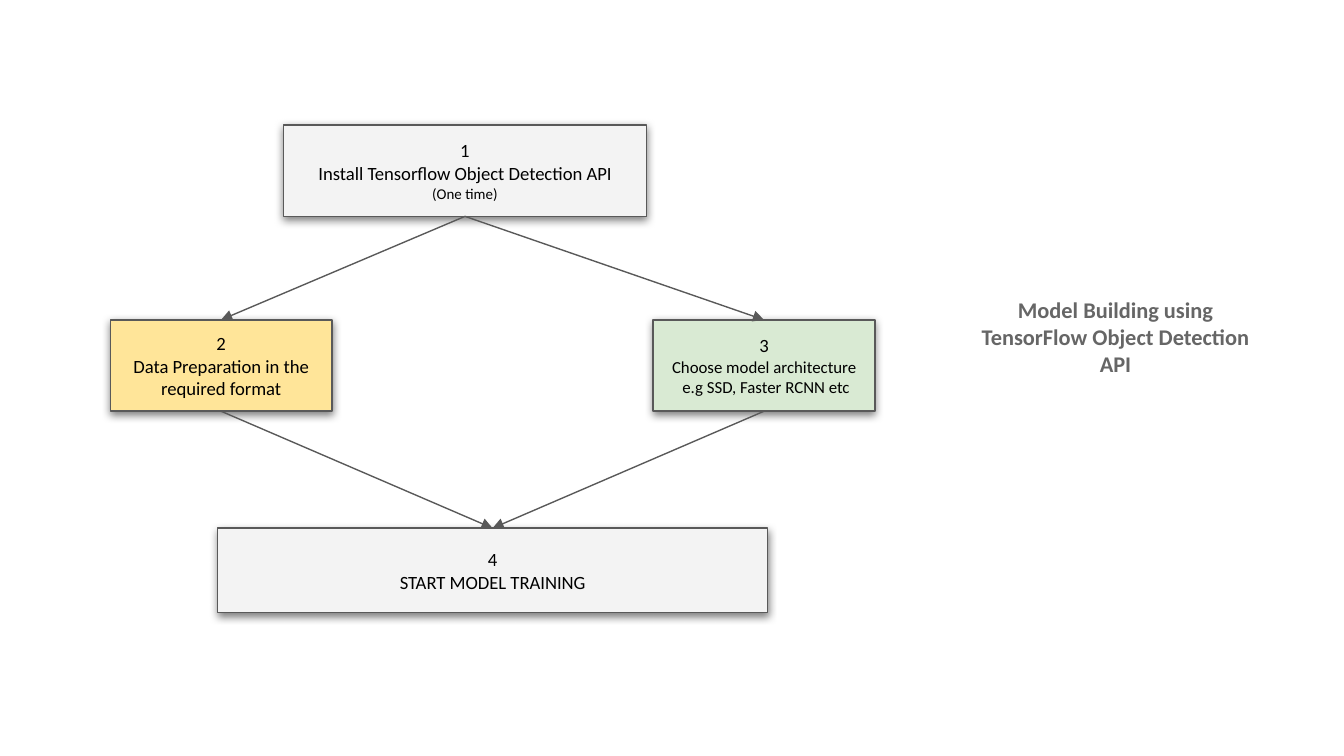
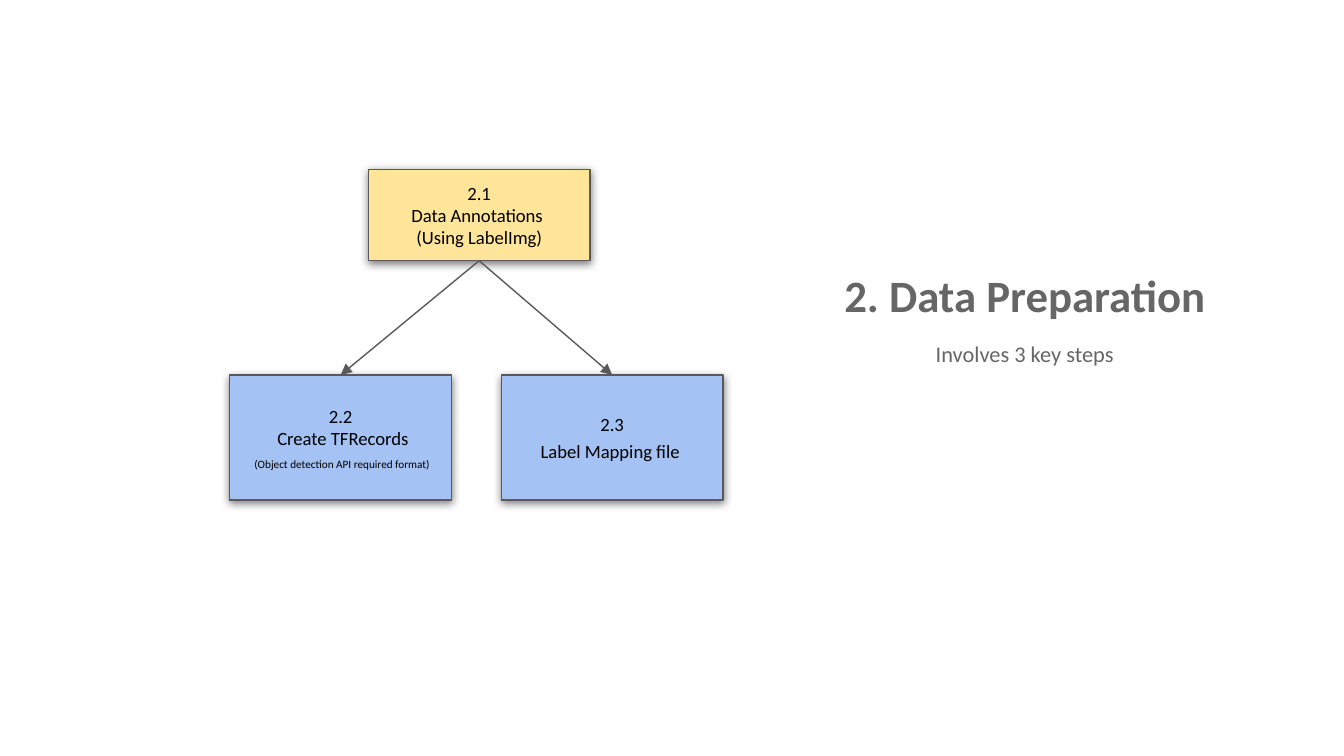
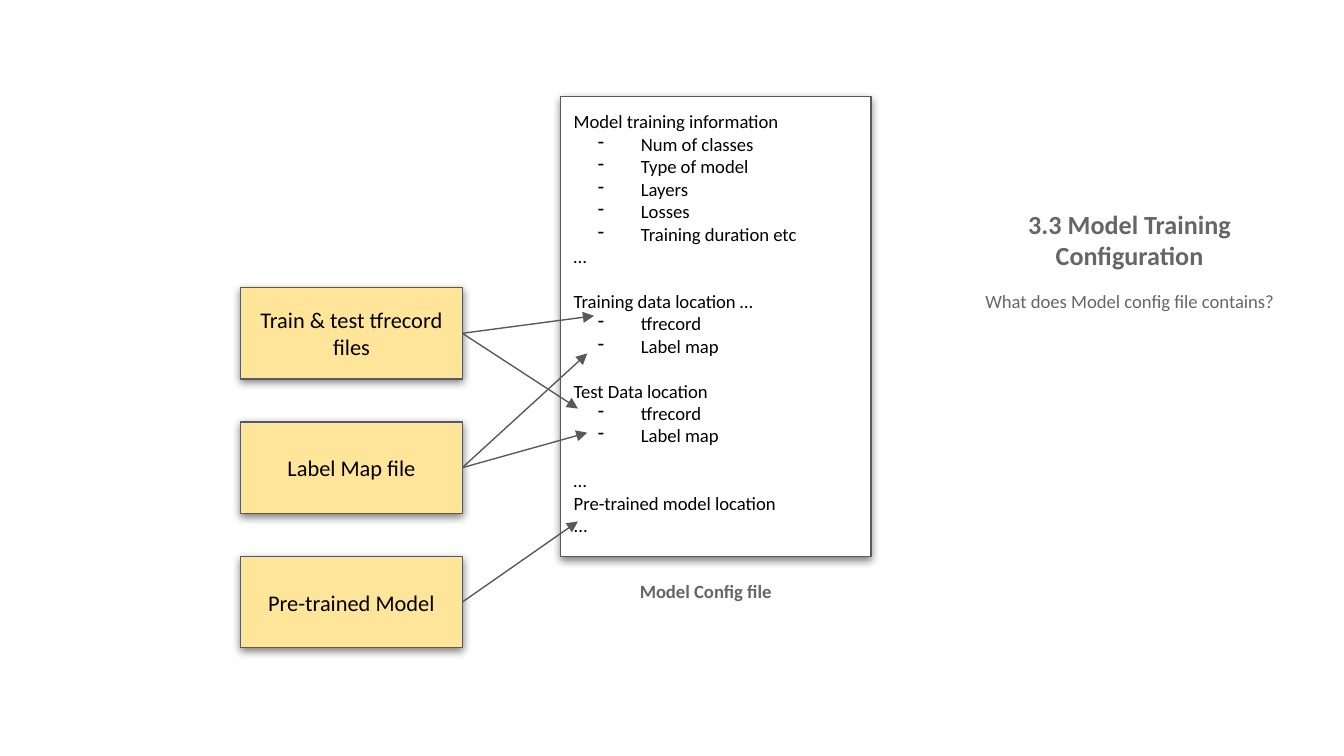
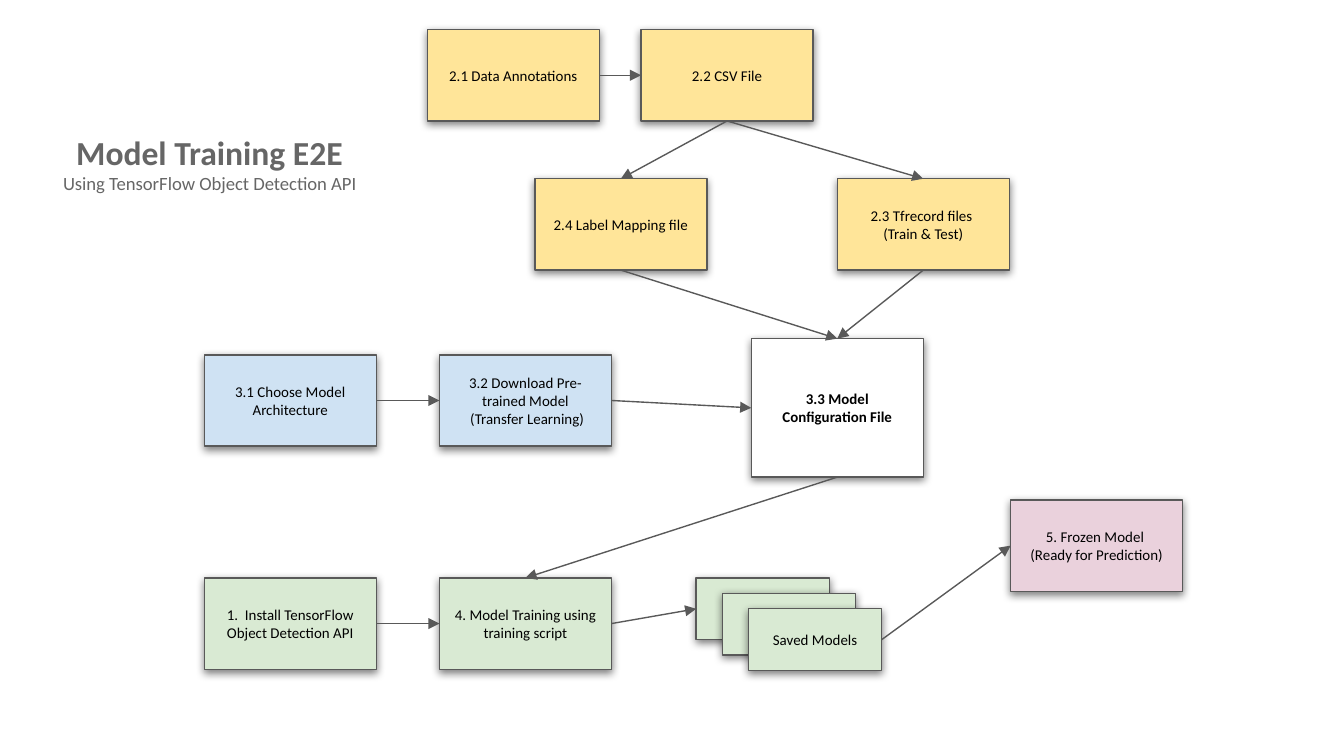
"""Build four slides on training an object detection model."""
from lxml.etree import SubElement
from pptx import Presentation
from pptx.dml.color import RGBColor
from pptx.enum.shapes import MSO_CONNECTOR, MSO_SHAPE
from pptx.enum.text import MSO_ANCHOR, PP_ALIGN
from pptx.oxml.ns import qn
from pptx.util import Inches, Pt

FONT = "Calibri"
BLACK = RGBColor(0x00, 0x00, 0x00)
WHITE = RGBColor(0xFF, 0xFF, 0xFF)
OUTLINE = RGBColor(0x59, 0x59, 0x59)
HEADING = RGBColor(0x66, 0x66, 0x66)
GREY = RGBColor(0xF3, 0xF3, 0xF3)
YELLOW = RGBColor(0xFF, 0xE5, 0x99)
GREEN = RGBColor(0xD9, 0xEA, 0xD3)
BLUE = RGBColor(0xA4, 0xC2, 0xF4)
PALE_BLUE = RGBColor(0xCF, 0xE2, 0xF3)
PINK = RGBColor(0xEA, 0xD1, 0xDC)

TOP, LEFT, BOTTOM, RIGHT = range(4)
CARD_W, CARD_H, STEP_W = 1.65, 0.68, 1.28
BLANK_LINE = 12

CONFIG_SECTIONS = [
    ("Model training information",
     ["Num of classes", "Type of model", "Layers", "Losses", "Training duration etc"], 0),
    ("…", [], 0),
    ("Training data location …", ["tfrecord", "Label map"], BLANK_LINE),
    ("Test Data location", ["tfrecord", "Label map"], BLANK_LINE),
    ("…", [], BLANK_LINE),
    ("Pre-trained model location", [], 0),
    ("...", [], 0),
]


def set_frame(sp, anchor=MSO_ANCHOR.MIDDLE):
    """Wrap, anchor and inset the text of a shape."""
    tf = sp.text_frame
    tf.word_wrap = True
    tf.vertical_anchor = anchor
    tf.margin_left = tf.margin_right = tf.margin_top = tf.margin_bottom = Inches(0.1)
    return tf


def add_line(tf, text, size, color=BLACK, bold=False, before=0, align=PP_ALIGN.CENTER):
    """Add one paragraph, using the empty first one when it is free."""
    p = tf.paragraphs[0]
    if p.runs:
        p = tf.add_paragraph()
    p.add_run().text = text
    p.alignment = align
    p.space_before = Pt(before)
    p.font.name = FONT
    p.font.size = Pt(size)
    p.font.bold = bold
    p.font.color.rgb = color
    return p


def add_panel(slide, x, y, w, h, fill):
    """Add an outlined rectangle with a soft shadow below it."""
    sp = slide.shapes.add_shape(
        MSO_SHAPE.RECTANGLE, Inches(x), Inches(y), Inches(w), Inches(h))
    sp.fill.solid()
    sp.fill.fore_color.rgb = fill
    sp.line.color.rgb = OUTLINE
    sp.line.width = Pt(0.75)
    sp.shadow.inherit = False
    effects = sp._element.spPr.find(qn("a:effectLst"))
    shadow = SubElement(effects, qn("a:outerShdw"), blurRad=str(Pt(4.5)), dist=str(Pt(1.5)),
                        dir="5400000", algn="bl", rotWithShape="0")
    color = SubElement(shadow, qn("a:srgbClr"), val=str(BLACK))
    SubElement(color, qn("a:alpha"), val="50000")
    return sp


def add_card(slide, x, y, fill, lines, w=CARD_W, h=CARD_H, size=10, bold=False):
    """Add a panel of centred lines, each a text or (text, size, space before)."""
    sp = add_panel(slide, x, y, w, h, fill)
    tf = set_frame(sp)
    for line in lines:
        text, line_size, before = (line, size, 0) if isinstance(line, str) else line
        add_line(tf, text, line_size, bold=bold, before=before)
    return sp


def add_arrow(slide, start, start_side, end, end_side=None):
    """Draw an arrow from a side of a shape to a side of another or to a point."""
    x, y = (0, 0) if end_side is not None else (Inches(v) for v in end)
    line = slide.shapes.add_connector(MSO_CONNECTOR.STRAIGHT, 0, 0, x, y)
    line.begin_connect(start, start_side)
    if end_side is not None:
        line.end_connect(end, end_side)
    line.line.color.rgb = OUTLINE
    line.line.width = Pt(0.75)
    SubElement(line.line._get_or_add_ln(), qn("a:tailEnd"), type="triangle")
    SubElement(line._element.spPr, qn("a:effectLst"))


def add_heading(slide, x, y, w, h, title, size, subtitle=None, sub_size=10, gap=0):
    """Add a bold grey heading with an optional plain line under it."""
    tf = set_frame(slide.shapes.add_textbox(Inches(x), Inches(y), Inches(w), Inches(h)))
    add_line(tf, title, size, HEADING, True)
    if subtitle:
        add_line(tf, subtitle, sub_size, HEADING, before=gap)


def add_building_flow(slide, x, y):
    """Draw the four stages of model building."""
    install = add_card(slide, x + 1.29, y, GREY, [
        "1", "Install Tensorflow Object Detection API", ("(One time)", 8, 0)], w=2.7)
    data = add_card(slide, x, y + 1.45, YELLOW,
                    ["2", "Data Preparation in the required format"])
    model = add_card(slide, x + 4.04, y + 1.45, GREEN, [
        "3", ("Choose model architecture", 9, 0), (" e.g SSD, Faster RCNN etc", 9, 0)])
    train = add_card(slide, x + 0.8, y + 3, GREY, ["4", "START MODEL TRAINING"],
                     w=4.09, h=0.63)
    for branch in (data, model):
        add_arrow(slide, install, BOTTOM, branch, TOP)
        add_arrow(slide, branch, BOTTOM, train, TOP)


def add_preparation_flow(slide, x, y):
    """Draw the annotation step and the two steps that follow from it."""
    annotate = add_card(slide, x + 1.03, y, YELLOW,
                        ["2.1", "Data Annotations ", "(Using LabelImg)"])
    steps = [
        ["2.2", " Create TFRecords", (" (Object detection API required format)", 6, 4)],
        ["2.3", ("Label Mapping file ", 10, 2)],
    ]
    for i, lines in enumerate(steps):
        step = add_card(slide, x + 2.02 * i, y + 1.53, BLUE, lines, h=0.93)
        add_arrow(slide, annotate, BOTTOM, step, TOP)


def add_bullet(p):
    """Give a paragraph a hanging dash of the size of its text."""
    p.runs[0].font.size = p.font.size
    pPr = p._p.get_or_add_pPr()
    pPr.set("marL", str(Inches(0.5)))
    pPr.set("indent", str(Inches(-0.32)))
    bullet = pPr.makeelement(qn("a:buChar"), {"char": "-"})
    pPr.find(qn("a:defRPr")).addprevious(bullet)


def add_config_file(slide, x, y, w, h):
    """Draw the config file page with its caption."""
    tf = set_frame(add_panel(slide, x, y, w, h, WHITE), MSO_ANCHOR.TOP)
    for title, items, before in CONFIG_SECTIONS:
        add_line(tf, title, 10, before=before, align=PP_ALIGN.LEFT)
        for item in items:
            add_bullet(add_line(tf, item, 10, align=PP_ALIGN.LEFT))
    add_heading(slide, x - 0.56, y + h + 0.05, 3.28, 0.41, "Model Config file", 10)


def add_config_inputs(slide, x, y):
    """Draw the input files and arrows to the config entries that use them."""
    inputs = [
        ("Train & test tfrecord files", [(2.63, 0.21), (2.51, 0.9)]),
        ("Label Map file", [(2.58, 0.49), (2.58, 1.08)]),
        ("Pre-trained Model", [(2.51, 1.74)]),
    ]
    for i, (name, targets) in enumerate(inputs):
        card = add_card(slide, x, y + i, YELLOW, [name], size=12)
        for dx, dy in targets:
            add_arrow(slide, card, RIGHT, (x + dx, y + dy))


def add_training_flow(slide, x, y):
    """Draw the whole path from annotations to the frozen model."""
    def step(dx, dy, fill, *lines, w=STEP_W, h=CARD_H, bold=False):
        """Add a small card at an offset in the flow."""
        return add_card(slide, x + dx, y + dy, fill, lines, w, h, 8, bold)

    annotate = step(1.66, 0, YELLOW, "2.1 Data Annotations")
    csv = step(3.25, 0, YELLOW, "2.2 CSV File")
    records = step(4.71, 1.11, YELLOW, "2.3 Tfrecord files ", "(Train & Test)")
    labels = step(2.46, 1.11, YELLOW, "2.4 Label Mapping file")
    choose = step(0, 2.42, PALE_BLUE, "3.1 Choose Model Architecture")
    download = step(1.75, 2.42, PALE_BLUE,
                    "3.2 Download Pre-trained Model", " (Transfer Learning)")
    config = step(4.07, 2.3, WHITE, "3.3 Model Configuration File", h=1.03, bold=True)
    install = step(0, 4.08, GREEN, "1.  Install TensorFlow Object Detection API")
    train = step(1.75, 4.08, GREEN, "4. Model Training using training script")
    saved = [step(3.66 + 0.39 * i / 2, 4.08 + 0.23 * i / 2, GREEN, *lines, w=0.99, h=0.46)
             for i, lines in enumerate([[], [], ["Saved Models"]])]
    frozen = step(6, 3.5, PINK, "5. Frozen Model ", "(Ready for Prediction)")

    across = [(annotate, csv), (choose, download), (download, config), (install, train),
              (train, saved[0]), (saved[-1], frozen)]
    down = [(csv, records), (csv, labels), (labels, config), (records, config),
            (config, train)]
    for start, end in across:
        add_arrow(slide, start, RIGHT, end, LEFT)
    for start, end in down:
        add_arrow(slide, start, BOTTOM, end, TOP)


def building_slide(slide):
    """Show model building."""
    add_building_flow(slide, 0.82, 0.93)
    add_heading(slide, 7.09, 1.71, 2.42, 1.59,
                "Model Building using TensorFlow Object Detection API", 12)


def preparation_slide(slide):
    """Show data preparation."""
    add_preparation_flow(slide, 1.71, 1.26)
    add_heading(slide, 5.95, 2.02, 3.35, 0.68, "2. Data Preparation", 24,
                "Involves 3 key steps", 12, gap=10)


def configuration_slide(slide):
    """Show what the config file holds."""
    add_config_file(slide, 4.17, 0.72, 2.31, 3.42)
    add_config_inputs(slide, 1.79, 2.14)
    add_heading(slide, 7.07, 1.39, 2.67, 1.09, "3.3 Model Training Configuration", 14,
                "What does Model config file contains?", gap=10)


def training_slide(slide):
    """Show training from end to end."""
    add_training_flow(slide, 1.52, 0.22)
    add_heading(slide, 0.33, 0.78, 2.46, 0.87, "Model Training E2E", 18,
                "Using TensorFlow Object Detection API")


def main():
    """Build and save the deck."""
    prs = Presentation()
    prs.slide_width = Inches(10)
    prs.slide_height = prs.slide_width * 9 // 16
    for build in (building_slide, preparation_slide, configuration_slide, training_slide):
        build(prs.slides.add_slide(prs.slide_layouts[6]))
    prs.save("out.pptx")


if __name__ == "__main__":
    main()
